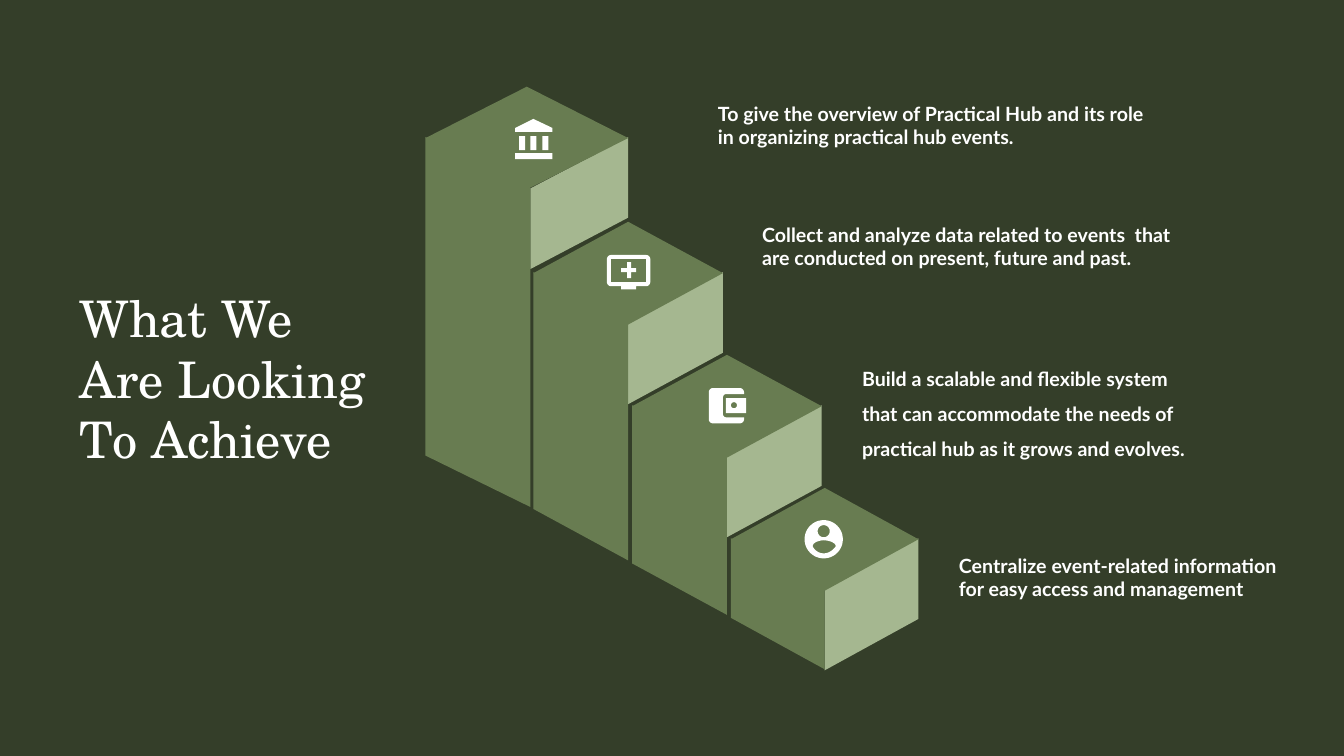
from dataclasses import dataclass
from math import cos, sin, tau

from pptx import Presentation
from pptx import util as u
from pptx.dml import color
from pptx.enum import text


@dataclass(frozen=True)
class Theme:
    background: str = "343E29"
    block: str = "687C51"
    step: str = "A5B790"
    white: str = "FFFFFF"
    title_font: str = "TeX Gyre Schola"
    body_font: str = "Lato"
    title_size: int = 36
    body_size: int = 14


def apply(target, values):
    for name, value in values.items():
        setattr(target, name, value)


def box(left, top, right, bottom):
    return [(left, top), (right, top), (right, bottom), (left, bottom)]


def circle(cx, cy, radius, count=48):
    angles = [tau * i / count for i in range(count)]
    return [(cx + radius * cos(a), cy + radius * sin(a)) for a in angles]


def flatten(contour, steps=8):
    points = []
    for item in contour:
        if len(item) == 2:
            points.append(item)
            continue
        x0, y0 = points[-1]
        x1, y1, x2, y2, x3, y3 = item
        for i in range(1, steps + 1):
            t = i / steps
            a, b, c, d = (1 - t) ** 3, 3 * t * (1 - t) ** 2, 3 * t * t * (1 - t), t ** 3
            points.append((a * x0 + b * x1 + c * x2 + d * x3,
                           a * y0 + b * y1 + c * y2 + d * y3))
    return points


class SlideBuilder:
    def __init__(self, slide, theme):
        self.s = slide
        self.theme = theme
        fill = slide.background.fill
        fill.solid()
        fill.fore_color.rgb = color.RGBColor.from_string(theme.background)

    def outline(self, contours, fill):
        builder = None
        for contour in contours:
            points = [(u.Inches(x), u.Inches(y)) for x, y in flatten(contour)]
            if builder is None:
                builder = self.s.shapes.build_freeform(*points[0], scale=1.0)
            else:
                builder.move_to(*points[0])
            builder.add_line_segments(points[1:], close=True)
        sp = builder.convert_to_shape()
        sp.shadow.inherit = False
        sp.fill.solid()
        sp.fill.fore_color.rgb = color.RGBColor.from_string(fill)
        sp.line.fill.background()

    def block(self, left, middle, right, peak, base):
        shoulder, front = peak + 0.51, peak + 1.01
        center = (left + right) / 2
        step = [(right, shoulder - 0.01), (right, shoulder + 0.79),
                (middle, front + 0.8), (middle, front)]
        side = [(left, shoulder - 0.01), (middle, front), (middle, base + 0.51), (left, base)]
        top = [(center, peak), (right, shoulder), (center, front + 0.01), (left, shoulder)]
        self.outline([step], self.theme.step)
        self.outline([side], self.theme.block)
        self.outline([top], self.theme.block)

    def icon(self, contours):
        self.outline(contours, self.theme.white)

    def label(self, words, bounds, font, size, bold=False, spacing=None,
              anchor=text.MSO_ANCHOR.TOP):
        tf = self.s.shapes.add_textbox(*map(u.Inches, bounds)).text_frame
        apply(tf, {"margin_left": 0, "margin_top": 0, "margin_right": 0, "margin_bottom": 0,
                   "word_wrap": True, "vertical_anchor": anchor,
                   "auto_size": text.MSO_AUTO_SIZE.SHAPE_TO_FIT_TEXT})
        p = tf.paragraphs[0]
        p.line_spacing = spacing
        r = p.add_run()
        r.text = words
        apply(r.font, {"name": font, "size": u.Pt(size), "bold": bold})
        r.font.color.rgb = color.RGBColor.from_string(self.theme.white)

    def title(self, words, bounds):
        self.label(words, bounds, self.theme.title_font, self.theme.title_size,
                   anchor=text.MSO_ANCHOR.MIDDLE)

    def goal(self, words, bounds, spacing=None):
        self.label(words, bounds, self.theme.body_font, self.theme.body_size, True, spacing)


GOALS = [
    ("To give the overview of Practical Hub and its role in organizing practical hub events.",
     (7.12, 1.01, 4.24, 0.47), None),
    ("Collect and analyze data related to events  that are conducted on present, future and past.",
     (7.56, 2.21, 4.13, 0.47), None),
    ("Build a scalable and flexible system that can accommodate the needs of practical hub "
     "as it grows and evolves.", (8.55, 3.52, 3.4, 1.01), 1.5),
    ("Centralize event-related information for easy access and management",
     (9.51, 5.49, 3.19, 0.71), None),
]

BLOCKS = [
    (6.27, 7.21, 8.15, 3.52, 5.59),
    (7.25, 8.18, 9.11, 4.84, 6.13),
    (5.29, 6.23, 7.17, 2.2, 5.05),
    (4.22, 5.26, 6.23, 0.86, 4.52),
]

PERSON = [
    [(8.17, 5.49), (8.22, 5.49, 8.26, 5.46, 8.29, 5.42), (8.29, 5.38, 8.21, 5.36, 8.17, 5.36),
     (8.13, 5.36, 8.06, 5.38, 8.06, 5.42), (8.08, 5.46, 8.12, 5.49, 8.17, 5.49)],
    circle(8.17, 5.27, 0.06),
    circle(8.17, 5.35, 0.19),
]

BANK = [
    [(5.29, 1.18), (5.48, 1.27), (5.48, 1.31), (5.11, 1.31), (5.11, 1.27)],
    box(5.11, 1.52, 5.48, 1.58),
    *[box(x, 1.35, x + 0.06, 1.49) for x in (5.15, 5.26, 5.38)],
]

WALLET = [
    circle(7.28, 4.02, 0.03),
    box(7.2, 3.95, 7.4, 4.1),
    [(7.38, 4.16), (7.38, 4.18, 7.36, 4.2, 7.34, 4.2), (7.07, 4.2),
     (7.05, 4.2, 7.03, 4.18, 7.03, 4.16), (7.03, 3.89), (7.03, 3.87, 7.05, 3.85, 7.07, 3.85),
     (7.34, 3.85), (7.36, 3.85, 7.38, 3.87, 7.38, 3.89), (7.38, 3.91), (7.2, 3.91),
     (7.18, 3.91, 7.17, 3.93, 7.17, 3.95), (7.17, 4.1), (7.17, 4.12, 7.18, 4.14, 7.2, 4.14),
     (7.38, 4.14)],
]

MONITOR = [
    [(6.31, 2.66), (6.31, 2.7), (6.26, 2.7), (6.26, 2.76), (6.22, 2.76), (6.22, 2.7),
     (6.16, 2.7), (6.16, 2.66), (6.22, 2.66), (6.22, 2.6), (6.26, 2.6), (6.26, 2.66)],
    box(6.06, 2.57, 6.41, 2.8),
    [(6.41, 2.53), (6.43, 2.53, 6.45, 2.55, 6.45, 2.57), (6.45, 2.8),
     (6.45, 2.82, 6.43, 2.84, 6.41, 2.84), (6.31, 2.84), (6.31, 2.87), (6.16, 2.87),
     (6.16, 2.84), (6.06, 2.84), (6.04, 2.84, 6.02, 2.82, 6.02, 2.8), (6.02, 2.57),
     (6.02, 2.55, 6.04, 2.53, 6.06, 2.53)],
]


def main():
    prs = Presentation()
    apply(prs, {"slide_width": u.Inches(13.33), "slide_height": u.Inches(7.5)})
    page = SlideBuilder(prs.slides.add_slide(prs.slide_layouts[6]), Theme())
    page.title("What We Are Looking To Achieve", (0.79, 2.84, 2.85, 1.82))
    for words, bounds, spacing in GOALS:
        page.goal(words, bounds, spacing)
    for block in BLOCKS:
        page.block(*block)
    for icon in (PERSON, BANK, WALLET, MONITOR):
        page.icon(icon)
    prs.save("out.pptx")


if __name__ == "__main__":
    main()
